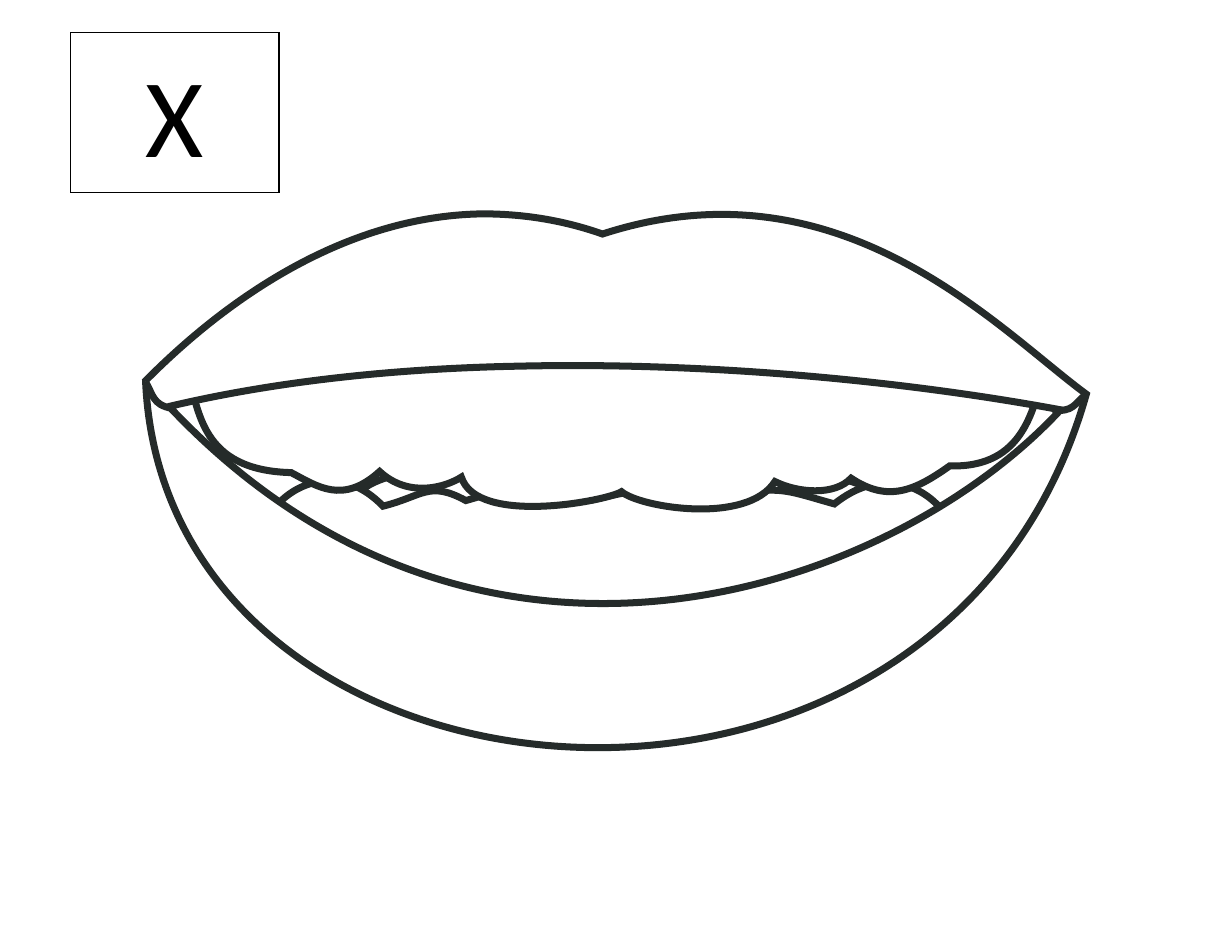
import math

import pptx
import pptx.util
import pptx.dml.color
import pptx.enum.shapes
import pptx.enum.text
from lxml import etree
from pptx.util import Inches

COLORS = {"white": "FFFFFF", "ink": "252B2A", "black": "000000"}
A = "{http://schemas.openxmlformats.org/drawingml/2006/main}"

# Each contour is a start point, then lines (x, y) or
# cubic curves (x1, y1, x2, y2, x, y), in inches
MOUTH_OPENING = [(1.39, 3.62), (4.03, 2.95, 7.4, 3.23, 9.49, 3.66),
                 (8, 5.39, 4.24, 6.88, 1.39, 3.62)]
TONGUE = [(3.23, 4.38), (3.65, 3.95, 7.41, 4, 7.84, 4.42),
          (8.24, 4.83, 6.34, 5.92, 5.57, 5.91),
          (4.8, 5.91, 2.82, 4.82, 3.23, 4.38)]
LOWER_TEETH = [(2.87, 5.18), (1.72, 5.12, 2.7, 3.77, 3.42, 4.52),
               (3.78, 4.43, 3.83, 4.29, 4.16, 4.47),
               (4.51, 4.37, 4.84, 4.24, 5.3, 4.46),
               (5.76, 4.36, 5.91, 4.31, 6.31, 4.49),
               (6.94, 4.31, 6.98, 4.37, 7.45, 4.5),
               (8.26, 3.85, 8.98, 5.1, 8.22, 5.21),
               (5.99, 5.57, 4.75, 5.79, 2.87, 5.18)]
UPPER_TEETH = [(4.58, 2.99), (6.3, 2.96, 7.68, 3.05, 9.09, 3.24), (9.33, 3.28),
               (9.23, 3.64, 9.15, 4.18, 8.48, 4.16),
               (8.17, 4.38, 7.93, 4.49, 7.6, 4.27),
               (7.45, 4.43, 7.12, 4.4, 6.92, 4.3),
               (6.67, 4.69, 5.71, 4.53, 5.55, 4.39),
               (5.43, 4.47, 4.26, 4.7, 4.12, 4.26),
               (3.98, 4.35, 3.65, 4.45, 3.39, 4.21),
               (3.06, 4.51, 2.83, 4.34, 2.6, 4.22),
               (1.78, 4.2, 1.78, 3.65, 1.67, 3.32), (2.03, 3.17),
               (2.86, 3.06, 3.72, 3.01, 4.58, 2.99)]
LIPS_OUTER = [(4.31, 1.91), (4.65, 1.91, 5.01, 1.96, 5.38, 2.09),
              (7.5, 1.4, 8.9, 2.93, 9.7, 3.52),
              (8.42, 8.06, 1.47, 7.42, 1.3, 3.4),
              (1.69, 3.01, 2.83, 1.93, 4.31, 1.91)]
LIPS_INNER = [(4.63, 3.27), (3.56, 3.29, 2.48, 3.4, 1.51, 3.63),
              (4.31, 6.6, 8, 5.25, 9.47, 3.66),
              (8.18, 3.42, 6.41, 3.23, 4.63, 3.27)]
LEFT_CORNER = [(1.53, 3.64), (1.35, 3.61, 1.36, 3.51, 1.29, 3.4), (1.29, 3.4)]
RIGHT_CORNER = [(9.4, 3.67), (9.58, 3.7, 9.6, 3.61, 9.7, 3.53), (9.7, 3.53)]


def rgb(name):
    return pptx.dml.color.RGBColor.from_string(COLORS[name])


def style(sp, fill, line, width):
    sp.shadow.inherit = False
    if fill:
        sp.fill.solid()
        sp.fill.fore_color.rgb = rgb(fill)
    else:
        sp.fill.background()
    sp.line.color.rgb = rgb(line)
    sp.line.width = pptx.util.Pt(width)
    # Sharp corners
    etree.SubElement(sp.line._get_or_add_ln(), A + "miter", lim="800000")


def pairs(segment):
    return list(zip(segment[::2], segment[1::2]))


def turn(segment, center, degrees):
    """Segment turned about a center."""
    cos, sin = math.cos(math.radians(degrees)), math.sin(math.radians(degrees))
    turned = []
    for x, y in pairs(segment):
        dx, dy = x - center[0], y - center[1]
        turned += [center[0] + dx * cos - dy * sin, center[1] + dx * sin + dy * cos]
    return tuple(turned)


def bounds(contours):
    """Left, top, right and bottom of the drawn outline."""
    points = []
    for contour in contours:
        for segment in contour:
            if len(segment) == 6:
                ends = [points[-1], *pairs(segment)]
                for i in range(1, 101):
                    t = i / 100
                    weights = ((1 - t) ** 3, 3 * t * (1 - t) ** 2,
                               3 * t * t * (1 - t), t ** 3)
                    points.append(tuple(sum(w * v for w, v in zip(weights, vs))
                                        for vs in zip(*ends)))
            else:
                points.append(segment)
    xs, ys = zip(*points)
    return min(xs), min(ys), max(xs), max(ys)


def write_path(path, contours, left, top, closed):
    """Fill the path with lines and cubic curves."""
    for child in list(path):
        path.remove(child)
    for contour in contours:
        for i, segment in enumerate(contour):
            tag = "moveTo" if i == 0 else "lnTo" if len(segment) == 2 else "cubicBezTo"
            step = etree.SubElement(path, A + tag)
            for x, y in pairs(segment):
                etree.SubElement(step, A + "pt", x=str(int(Inches(x - left))),
                                 y=str(int(Inches(y - top))))
        if closed:
            etree.SubElement(path, A + "close")


def add_outline(shapes, contours, closed=True, fill="white", rotation=0, center=(0, 0)):
    if rotation:
        contours = [[turn(seg, center, -rotation) for seg in c] for c in contours]
    left, top, right, bottom = bounds(contours)
    # The frame's diagonal sets position and size
    builder = shapes.build_freeform(Inches(left), Inches(top))
    builder.add_line_segments([(Inches(right), Inches(bottom))], close=closed)
    sp = builder.convert_to_shape()
    write_path(next(sp._element.iter(A + "path")), contours, left, top, closed)
    sp.rotation = rotation
    style(sp, fill, "ink", 4.5)


def add_box(s, x, y, w, h, line):
    sp = s.shapes.add_shape(pptx.enum.shapes.MSO_SHAPE.RECTANGLE,
                            Inches(x), Inches(y), Inches(w), Inches(h))
    style(sp, "white", line, 1)
    return sp


def add_letter(sp, text):
    tf = sp.text_frame
    tf.vertical_anchor = pptx.enum.text.MSO_ANCHOR.MIDDLE
    p = tf.paragraphs[0]
    p.text = text
    p.alignment = pptx.enum.text.PP_ALIGN.CENTER
    p.font.name = "Calibri"
    p.font.size = pptx.util.Pt(72)
    p.font.color.rgb = rgb("black")


def main():
    prs = pptx.Presentation()
    prs.slide_width, prs.slide_height = Inches(11), Inches(8.5)
    s = prs.slides.add_slide(prs.slide_layouts[6])

    # Page background
    add_box(s, 0, 0, 11, 8.5, "white")

    # Mouth, from back to front
    mouth = s.shapes.add_group_shape().shapes
    for contour in (MOUTH_OPENING, TONGUE, LOWER_TEETH, UPPER_TEETH):
        add_outline(mouth, [contour])
    add_outline(mouth, [LIPS_OUTER, LIPS_INNER])
    add_outline(mouth, [LEFT_CORNER], closed=False, rotation=204.9, center=(1.41, 3.53))
    add_outline(mouth, [RIGHT_CORNER], closed=False, fill=None,
                rotation=175.5, center=(9.55, 3.6))

    # Letter card
    add_letter(add_box(s, 0.63, 0.29, 1.86, 1.43, "black"), "X")

    prs.save("out.pptx")


if __name__ == "__main__":
    main()
